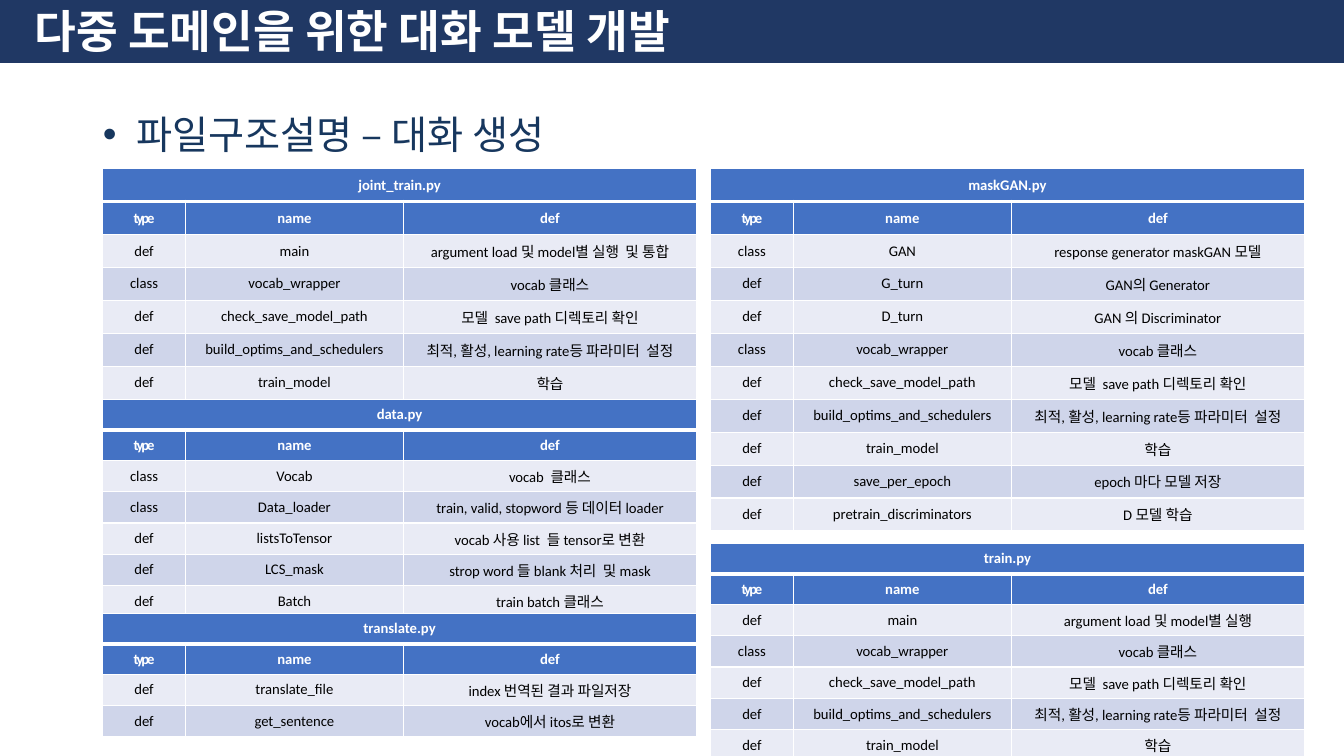
from dataclasses import dataclass

from lxml.etree import SubElement
from pptx import Presentation
from pptx.dml.color import RGBColor
from pptx.enum.shapes import MSO_SHAPE as Shape
from pptx.enum.text import MSO_ANCHOR as Anchor, MSO_AUTO_SIZE as AutoSize, PP_ALIGN as Align
from pptx.oxml import parse_xml
from pptx.oxml.ns import nsdecls, qn
from pptx.util import Cm, Pt


@dataclass(frozen=True)
class Theme:
    """Colours, font and type sizes of the slide."""
    font: str = "Calibri"
    banner: str = "203864"
    topic: str = "17375E"
    header: str = "4472C4"
    bands: tuple = ("E9EBF5", "CFD5EA")
    light: str = "FFFFFF"
    dark: str = "000000"
    title_size: float = 32.4
    topic_size: float = 28
    cell_size: float = 10.5


THEME = Theme()
COLUMNS = (2.08, 5.5, 7.38)
HEADINGS = ("type", "name", "def")

VOCAB_WRAPPER = ("class", "vocab_wrapper", "vocab 클래스")
TRAINING = [
    ("def", "check_save_model_path", "모델  save path 디렉토리 확인"),
    ("def", "build_optims_and_schedulers", "최적, 활성, learning rate등 파라미터  설정"),
    ("def", "train_model", "학습"),
]
JOINT_TRAIN = [("def", "main", "argument load 및 model별 실행  및 통합"), VOCAB_WRAPPER, *TRAINING]
DATA = [
    ("class", "Vocab", "vocab  클래스"),
    ("class", "Data_loader", "train, valid, stopword 등 데이터 loader"),
    ("def", "listsToTensor", "vocab 사용 list  들 tensor로 변환"),
    ("def", "LCS_mask", "strop word 들 blank 처리  및 mask"),
    ("def", "Batch", "train batch 클래스"),
]
TRANSLATE = [
    ("def", "translate_file", "index 번역된 결과 파일저장"),
    ("def", "get_sentence", "vocab에서 itos로 변환"),
]
MASK_GAN = [
    ("class", "GAN", "response generator maskGAN 모델"),
    ("def", "G_turn", "GAN의 Generator"),
    ("def", "D_turn", "GAN 의 Discriminator"),
    VOCAB_WRAPPER,
    *TRAINING,
    ("def", "save_per_epoch", "epoch 마다 모델 저장"),
    ("def", "pretrain_discriminators", "D 모델 학습"),
]
TRAIN = [("def", "main", "argument load 및 model별 실행"), VOCAB_WRAPPER, *TRAINING]


def write(frame, text, size, color, bold=False, align=Align.LEFT, spacing=None,
          before=None, tracking=None, shadow=False):
    """Write one formatted paragraph into a text frame and return it."""
    line = frame.paragraphs[0]
    line.alignment = align
    line.line_spacing = spacing
    line.space_before = before
    run = line.add_run()
    run.text = text
    run.font.name = THEME.font
    run.font.size = Pt(size)
    run.font.bold = bold
    run.font.color.rgb = RGBColor.from_string(color)
    properties = run.font._element
    if tracking is not None:
        properties.set("spc", str(tracking))
    if shadow:
        properties.find(qn("a:solidFill")).addnext(parse_xml(
            f'<a:effectLst {nsdecls("a")}><a:outerShdw blurRad="38100" dist="38100" dir="2700000">'
            '<a:srgbClr val="000000"><a:alpha val="43000"/></a:srgbClr></a:outerShdw></a:effectLst>'))
    return line


def place(part, box):
    """Move a placeholder to a box given in centimetres."""
    part.left, part.top, part.width, part.height = map(Cm, box)
    part.text_frame.word_wrap = True
    part.text_frame.auto_size = AutoSize.NONE


def add_banner(slide, box):
    """Draw the title band and set the title on it."""
    left, top, width, height = box
    band = slide.shapes.add_shape(Shape.RECTANGLE, *map(Cm, box))
    band.shadow.inherit = False
    band.fill.solid()
    band.fill.fore_color.rgb = band.line.color.rgb = RGBColor.from_string(THEME.banner)
    band.line.width = Pt(1)
    slide.shapes._spTree.insert(2, band._element)

    title = slide.shapes.title
    place(title, (left + 0.61, top + 0.15, width - 1.18, height - 0.17))
    title.text_frame.vertical_anchor = Anchor.MIDDLE
    write(title.text_frame, "다중 도메인을 위한 대화 모델 개발", THEME.title_size, THEME.light,
          bold=True, spacing=0.9, shadow=True)


def add_topic(slide, box):
    """Set the bulleted topic line in the body placeholder."""
    topic = slide.placeholders[1]
    place(topic, box)
    topic.text_frame.vertical_anchor = Anchor.TOP
    line = write(topic.text_frame, " 파일구조설명 – 대화 생성", THEME.topic_size, THEME.topic,
                 spacing=1.2, before=Pt(10))
    properties = line._p.get_or_add_pPr()
    properties.set("marL", str(Cm(0.63)))
    properties.set("indent", str(-Cm(0.63)))
    SubElement(properties, qn("a:buFont"), typeface="Arial")
    SubElement(properties, qn("a:buChar"), char="•")


def style_cell(cell, fill, top=1, bottom=1):
    """Give a cell its white borders, its fill and a centred anchor."""
    properties = cell._tc.get_or_add_tcPr()
    for side, weight in (("L", 1), ("R", 1), ("T", top), ("B", bottom)):
        border = SubElement(properties, qn(f"a:ln{side}"), w=str(Pt(weight)))
        SubElement(SubElement(border, qn("a:solidFill")), qn("a:srgbClr"), val=THEME.light)
    cell.fill.solid()
    cell.fill.fore_color.rgb = RGBColor.from_string(fill)
    cell.vertical_anchor = Anchor.MIDDLE


def add_file_table(slide, left, top, row_height, file_name, members):
    """Build the table of one source file and return its bottom edge."""
    rows = [(file_name, "", ""), HEADINGS, *members]
    height = row_height * len(rows)
    table = slide.shapes.add_table(len(rows), len(COLUMNS), Cm(left), Cm(top),
                                   Cm(sum(COLUMNS)), Cm(height)).table
    for column, width in zip(table.columns, COLUMNS):
        column.width = Cm(width)
    for r, values in enumerate(rows):
        table.rows[r].height = Cm(row_height)
        heading = r < 2
        for c, value in enumerate(values):
            cell = table.cell(r, c)
            style_cell(cell, THEME.header if heading else THEME.bands[r % 2],
                       top=3 if r == 1 else 1, bottom=3 if r == 0 else 1)
            if value:
                write(cell.text_frame, value, THEME.cell_size,
                      THEME.light if heading else THEME.dark, bold=heading,
                      align=Align.CENTER, tracking=-150 if value == "type" else None)
    table.cell(0, 0).merge(table.cell(0, len(COLUMNS) - 1))
    return top + height


def add_file_column(slide, left, top, files, gap=0):
    """Stack file tables downwards from the given corner."""
    for file_name, row_height, members in files:
        top = add_file_table(slide, left, top, row_height, file_name, members) + gap


def main():
    """Build the slide and save it."""
    deck = Presentation()
    deck.slide_width, deck.slide_height = Cm(33.87), Cm(19.05)
    slide = deck.slides.add_slide(deck.slide_layouts[1])
    add_banner(slide, (0, 0, 33.87, 1.57))
    add_topic(slide, (2.34, 2.41, 29.21, 1.85))
    add_file_column(slide, 2.59, 4.25, [
        ("joint_train.py", 0.83, JOINT_TRAIN),
        ("data.py", 0.77, DATA),
        ("translate.py", 0.77, TRANSLATE),
    ])
    add_file_column(slide, 17.91, 4.25, [
        ("maskGAN.py", 0.83, MASK_GAN),
        ("train.py", 0.77, TRAIN),
    ], gap=0.31)
    deck.save("out.pptx")


if __name__ == "__main__":
    main()
